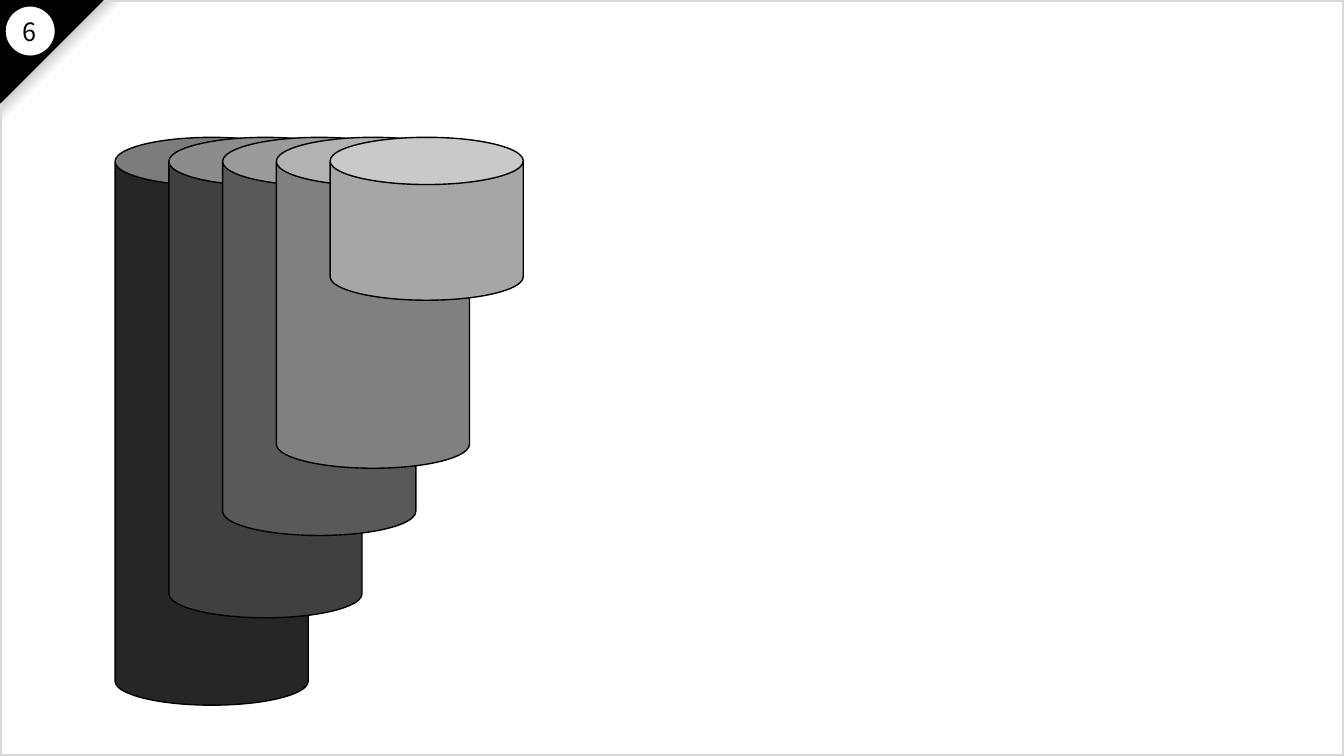
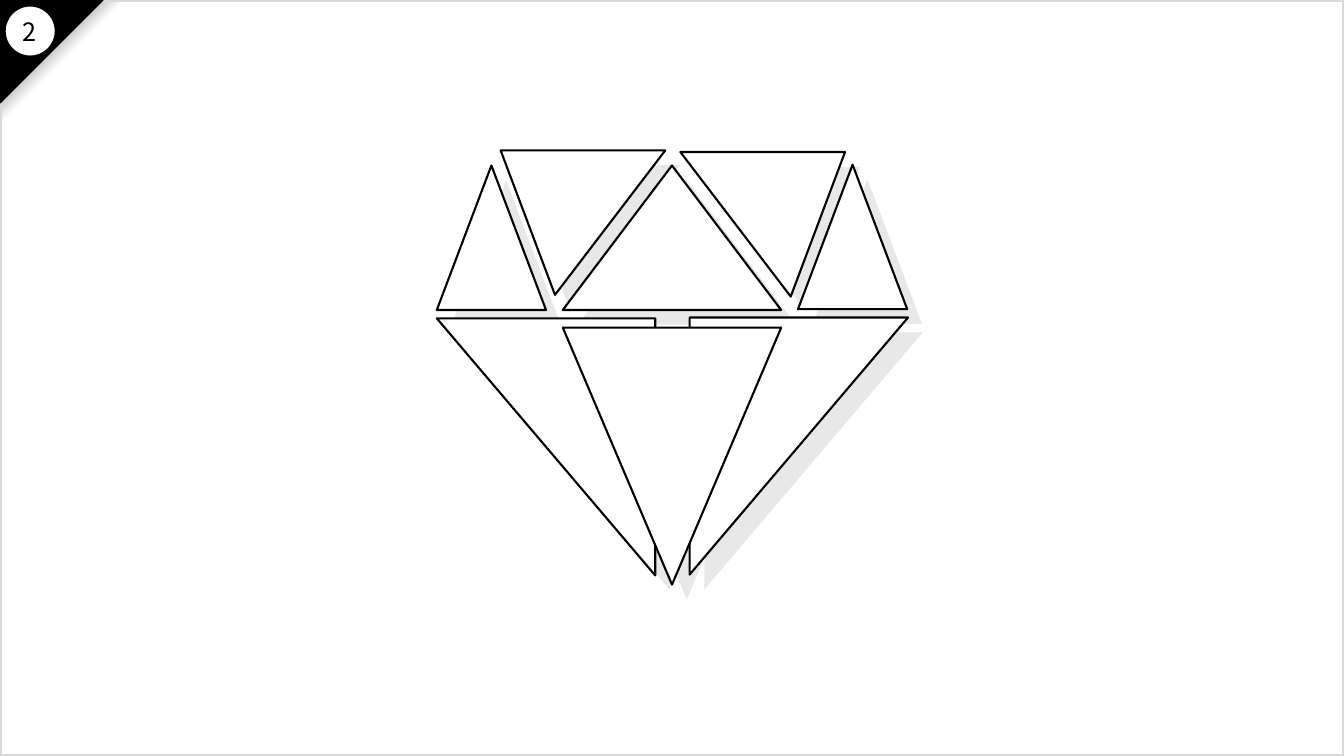
from dataclasses import dataclass

from lxml.etree import SubElement
from pptx import Presentation
from pptx.dml.color import RGBColor
from pptx.enum.shapes import MSO_SHAPE
from pptx.enum.text import MSO_AUTO_SIZE, PP_ALIGN
from pptx.oxml.ns import qn
from pptx.util import Inches, Pt


@dataclass(frozen=True)
class Theme:
    ink: str = "000000"
    paper: str = "FFFFFF"
    frame: str = "D9D9D9"
    shade: str = "E8E8E8"
    grays: tuple = ("262626", "404040", "595959", "808080", "A6A6A6")
    fade: tuple = ((0, "FFFFFF"), (50, "FFFFFF"), (70, "808080"), (100, "000000"))
    font: str = "Noto Sans CJK JP"
    size: float = 18
    thin: float = 1
    mid: float = 1.5
    thick: float = 3


class Deck:
    COLS, ROWS = 160, 90

    def __init__(self, theme):
        self.theme = theme
        self.file = Presentation()
        self.file.slide_width = Inches(13.33)
        self.file.slide_height = Inches(7.5)
        self.slide = None

    def place(self, left, top, wide, high):
        col = self.file.slide_width / self.COLS
        row = self.file.slide_height / self.ROWS
        return round(left * col), round(top * row), round(wide * col), round(high * row)

    def shape(self, kind, box, fill=None, line=None, width=1, turn=0, bend=None, host=None):
        host = host or self.slide.shapes
        item = host.add_shape(kind, *self.place(*box))
        item.shadow.inherit = False
        item.rotation = turn
        if bend is not None:
            item.adjustments[0] = bend
        if fill:
            item.fill.solid()
            item.fill.fore_color.rgb = RGBColor.from_string(fill)
        else:
            item.fill.background()
        if line:
            item.line.color.rgb = RGBColor.from_string(line)
            item.line.width = Pt(width)
        else:
            item.line.fill.background()
        return item

    def corner(self, side, **style):
        return self.shape(MSO_SHAPE.RIGHT_TRIANGLE, (0, 0, side, side), turn=90, **style)

    def blend(self, item, stops, angle):
        item.fill.gradient()
        item.fill.gradient_angle = angle
        ramp = item.element.spPr.find(qn("a:gradFill")).find(qn("a:gsLst"))
        for old in list(ramp):
            ramp.remove(old)
        for share, tone in stops:
            stop = SubElement(ramp, qn("a:gs"), pos=str(share * 1000))
            SubElement(stop, qn("a:srgbClr"), val=tone)

    def label(self, text, box):
        frame = self.slide.shapes.add_textbox(*self.place(*box)).text_frame
        frame.word_wrap = False
        frame.auto_size = MSO_AUTO_SIZE.SHAPE_TO_FIT_TEXT
        para = frame.paragraphs[0]
        para.alignment = PP_ALIGN.CENTER
        run = para.add_run()
        run.text = text
        run.font.name = self.theme.font
        run.font.size = Pt(self.theme.size)
        run.font.color.rgb = RGBColor.from_string(self.theme.ink)

    def page(self, number):
        look = self.theme
        self.slide = self.file.slides.add_slide(self.file.slide_layouts[6])
        self.blend(self.corner(14.8), look.fade, 225)
        self.shape(MSO_SHAPE.RECTANGLE, (0, 0, self.COLS, self.ROWS),
                   line=look.frame, width=look.thick)
        self.corner(12.25, fill=look.ink, line=look.ink, width=look.thin)
        self.shape(MSO_SHAPE.OVAL, (0.6, 0.7, 6, 6), look.paper, look.ink, look.thin)
        self.label(number, (1.42, 1.3, 4.3, 4.8))

    def cans(self, left, top, wide, step, highs):
        look = self.theme
        for i, (high, tone) in enumerate(zip(highs, look.grays)):
            bend = 0.29 if high < wide else None
            self.shape(MSO_SHAPE.CAN, (left + i * step, top, wide, high),
                       tone, look.ink, look.thin, bend=bend)

    def gem(self, facets, shift=0, host=None, **style):
        for left, top, wide, high, turn, peak in facets:
            self.shape(MSO_SHAPE.ISOSCELES_TRIANGLE,
                       (left + shift, top + shift, wide, high),
                       turn=turn, bend=peak, host=host, **style)

    def save(self):
        self.file.save("out.pptx")


HIGHS = (67.6, 57.2, 47.4, 39.4, 19.4)
CROWN, BASE = 17.2, 30.6
FACETS = (
    (67, 19.7, 26, CROWN, 0, 0.5),
    (52, 37.9, 26, BASE, 180, 0),
    (82.1, 37.8, 26, BASE, 180, 1),
    (67, 39, 26, BASE, 180, 0.5),
    (52, 19.7, 13, CROWN, 0, 0.5),
    (95, 19.6, 13, CROWN, 0, 0.5),
    (59.6, 17.9, 19.6, CROWN, 180, 0.67),
    (81, 18.1, 19.6, CROWN, 180, 0.33),
)


def main():
    look = Theme()
    deck = Deck(look)
    deck.page("6")
    deck.cans(13.7, 16.35, 23, 6.4, HIGHS)
    deck.page("2")
    group = deck.slide.shapes.add_group_shape()
    deck.gem(FACETS, 1.76, group.shapes, fill=look.shade)
    deck.gem(FACETS, fill=look.paper, line=look.ink, width=look.mid)
    deck.save()


if __name__ == "__main__":
    main()
